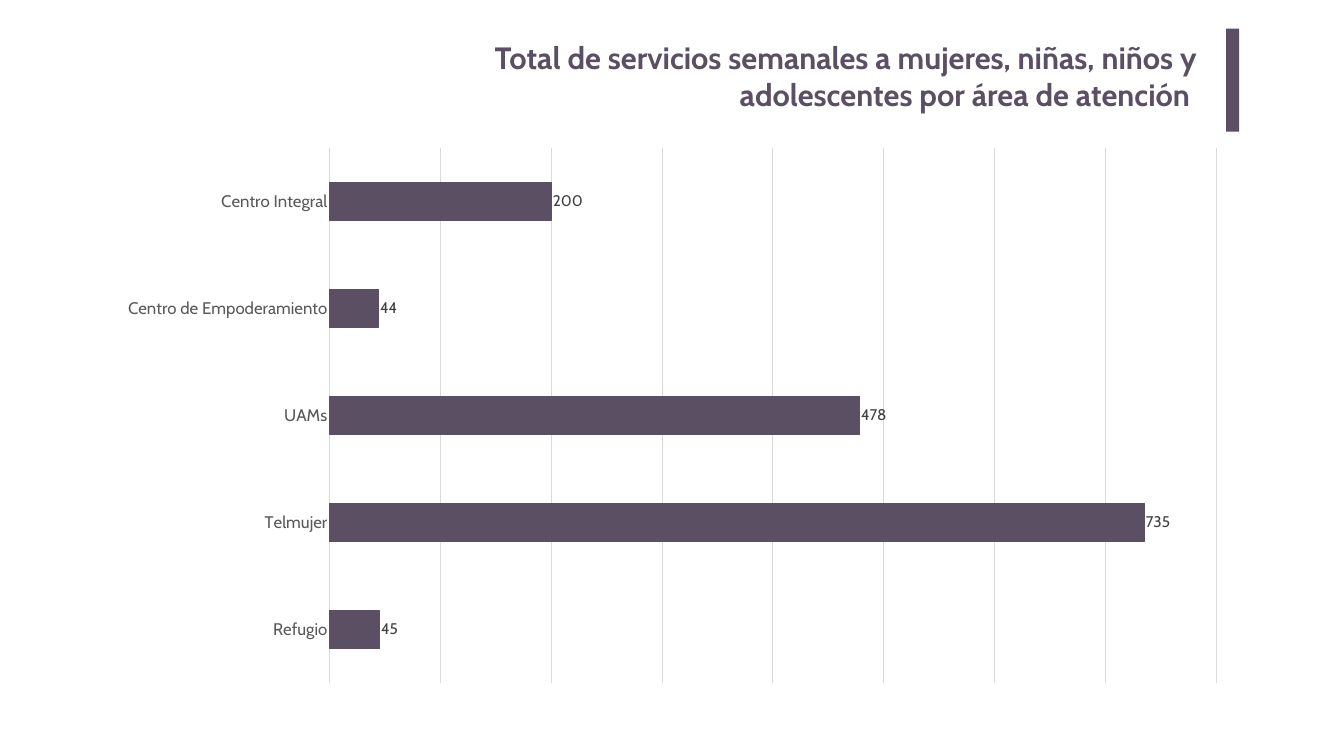
from dataclasses import dataclass

from lxml import etree
from pptx import Presentation
from pptx import util as u
from pptx.chart.data import CategoryChartData
from pptx.dml.color import RGBColor
from pptx.enum import chart as ch
from pptx.enum import shapes, text
from pptx.oxml.ns import qn


@dataclass(frozen=True)
class Theme:
    font: str = "Cabin"
    accent: str = "5B4F63"
    axis_text: str = "595959"
    label_text: str = "404040"
    grid: str = "D9D9D9"
    title_size: int = 44
    axis_size: int = 24
    label_size: int = 22
    line_width: float = 0.75


theme = Theme()
W, H = u.Inches(26.67), u.Inches(15)
TITLE = (0.246, 0.0447, 0.6524, 0.136)
BAR = (0.9123, 0.038, 0.0097, 0.136)
CHART = (0.078, 0.1807, 0.8436, 0.7373)


def place(box):
    """Turn shares of the slide into left, top, width, height."""
    return [round(share * side) for share, side in zip(box, (W, H, W, H))]


def style(font, size, color, bold=False):
    font.name = theme.font
    font.size = u.Pt(size)
    font.bold = bold
    font.color.rgb = RGBColor.from_string(color)


prs = Presentation()
prs.slide_width, prs.slide_height = W, H
s = prs.slides.add_slide(prs.slide_layouts[5])

# Title
title = s.shapes.title
title.left, title.top, title.width, title.height = place(TITLE)
tf = title.text_frame
tf.word_wrap = True
tf.auto_size = text.MSO_AUTO_SIZE.NONE
tf.vertical_anchor = text.MSO_ANCHOR.TOP
tf.margin_left = tf.margin_right = u.Inches(0.2)
tf.margin_top = tf.margin_bottom = u.Inches(0.1)
p = tf.paragraphs[0]
p.alignment = text.PP_ALIGN.RIGHT
p.line_spacing = 1.0
p.space_before = u.Pt(0)
r = p.add_run()
r.text = ("Total de servicios semanales a mujeres, niñas, niños y "
          "adolescentes por área de atención ")
style(r.font, theme.title_size, theme.accent, bold=True)

# Accent bar beside the title
sp = s.shapes.add_shape(shapes.MSO_SHAPE.RECTANGLE, *place(BAR))
sp.shadow.inherit = False
sp.fill.solid()
sp.fill.fore_color.rgb = RGBColor.from_string(theme.accent)
sp.line.fill.background()

# Bar chart of services by area
services = {
    "Centro Integral": 200,
    "Centro de Empoderamiento": 44,
    "UAMs": 478,
    "Telmujer": 735,
    "Refugio": 45,
}
data = CategoryChartData()
data.categories = list(services)
data.add_series("Series 1", list(services.values()))
chart = s.shapes.add_chart(
    ch.XL_CHART_TYPE.BAR_CLUSTERED, *place(CHART), data).chart
chart.has_legend = False
chart.has_title = False
chart.font.name = theme.font
chart.font.size = u.Pt(10)

# Axes and gridlines
areas, values = chart.category_axis, chart.value_axis
areas.reverse_order = True
areas.has_major_gridlines = False
areas.major_tick_mark = areas.minor_tick_mark = ch.XL_TICK_MARK.NONE
style(areas.tick_labels.font, theme.axis_size, theme.axis_text)
values.minimum_scale, values.maximum_scale = 0, 800
values.major_unit = 100
values.has_major_gridlines = True
values.visible = False
for line in (areas.format.line, values.major_gridlines.format.line):
    line.color.rgb = RGBColor.from_string(theme.grid)
    line.width = u.Pt(theme.line_width)

# Bars and their values
plot = chart.plots[0]
plot.gap_width = 182
plot.vary_by_categories = False
series = plot.series[0]
series.format.fill.solid()
series.format.fill.fore_color.rgb = RGBColor.from_string(theme.accent)
series.format.line.color.rgb = RGBColor.from_string(theme.accent)
series.format.line.width = u.Pt(theme.line_width)
labels = series.data_labels
labels.show_value = True
labels.position = ch.XL_LABEL_POSITION.OUTSIDE_END
style(labels.font, theme.label_size, theme.label_text)

# Inner plot area, as shares of the chart
area = plot._element.getparent()
for old in area.findall(qn("c:layout")):
    area.remove(old)
layout = etree.Element(qn("c:layout"))
area.insert(0, layout)
manual = etree.SubElement(layout, qn("c:manualLayout"))
for tag, val in (("layoutTarget", "inner"), ("xMode", "edge"), ("yMode", "edge"),
                 ("x", 0.198), ("y", 0.02), ("w", 0.782), ("h", 0.96)):
    etree.SubElement(manual, qn(f"c:{tag}")).set("val", str(val))

prs.save("out.pptx")
